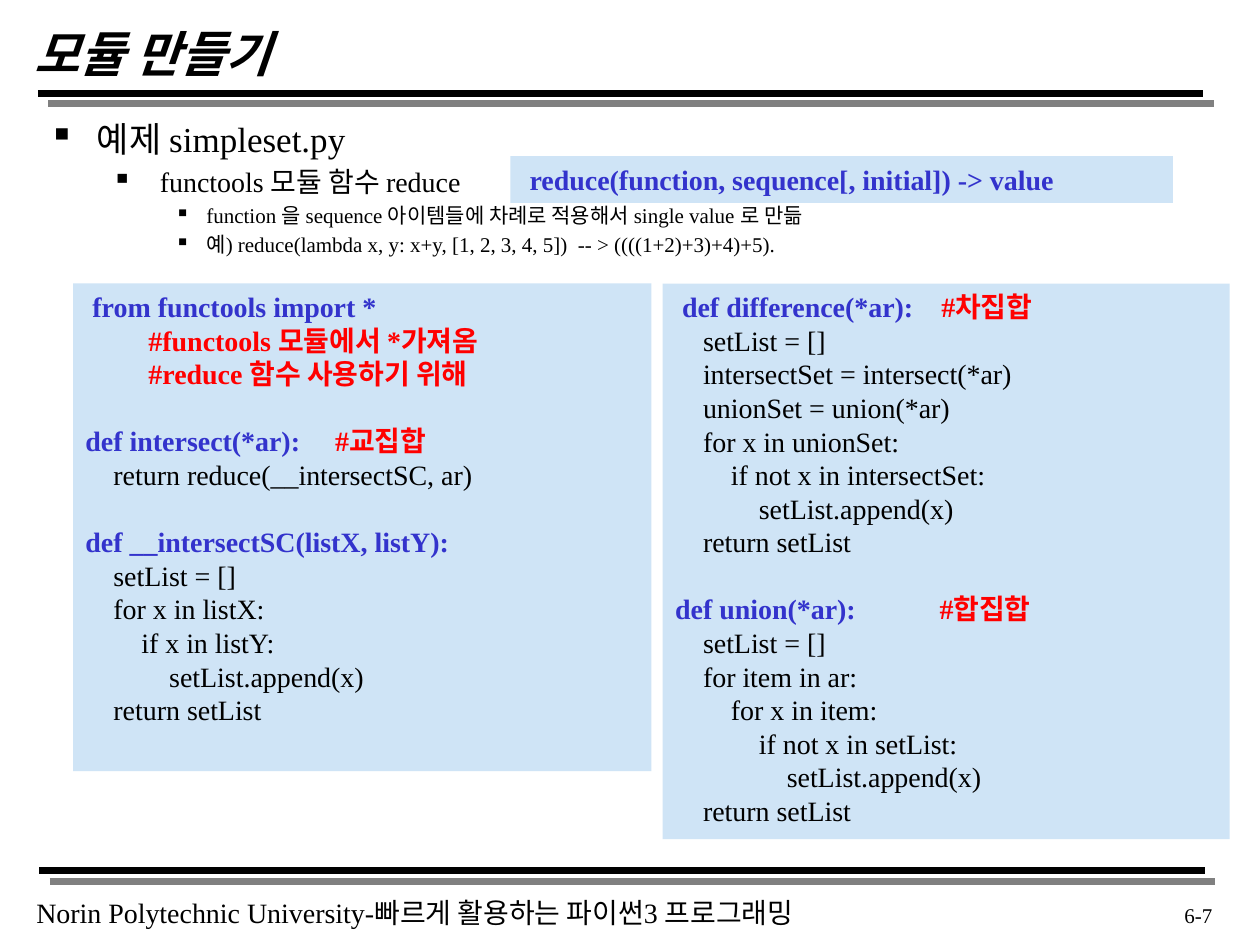
from typing import NamedTuple

from lxml import etree
from pptx import Presentation
from pptx.dml.color import RGBColor
from pptx.enum.shapes import MSO_CONNECTOR, MSO_SHAPE
from pptx.enum.text import MSO_ANCHOR, MSO_AUTO_SIZE, PP_ALIGN
from pptx.oxml.ns import qn
from pptx.util import Inches, Pt

STRAIGHT = MSO_CONNECTOR.STRAIGHT
RECTANGLE = MSO_SHAPE.RECTANGLE
TOP, MIDDLE = MSO_ANCHOR.TOP, MSO_ANCHOR.MIDDLE
LEFT, RIGHT = PP_ALIGN.LEFT, PP_ALIGN.RIGHT
NO_FIT = MSO_AUTO_SIZE.NONE
FONT = "Times New Roman"
BLACK, GRAY, BLUE, RED, PALE = "000000", "808080", "3333CC", "FF0000", "CFE4F6"
CODE_SIZE = 16
BLANK_LINE = 19.2


class Area(NamedTuple):
    left: float
    top: float
    width: float
    height: float


class Span(NamedTuple):
    text: str
    color: str = BLACK
    bold: bool = False


class Line(NamedTuple):
    spans: list[Span]
    space_before: float = 0


class Bullet(NamedTuple):
    text: str
    level: int
    size: int
    margin: float
    hanging: float


class CodePanel(NamedTuple):
    area: Area
    lines: list[Line]


def rgb(value: str) -> RGBColor:
    """Turn a hex string into a colour."""
    return RGBColor.from_string(value)


def heading(text: str, comment: str = "", space_before: float = 0) -> Line:
    """Make a bold code line with an optional red comment."""
    spans = [Span(text, BLUE, True)]
    if comment:
        spans.append(Span(comment, RED, True))
    return Line(spans, space_before)


def body(*texts: str) -> list[Line]:
    """Make plain code lines."""
    return [Line([Span(text)]) for text in texts]


def add_span(para, span: Span, size: float, italic: bool = False) -> None:
    """Add one formatted run to a paragraph."""
    run = para.add_run()
    run.text = span.text
    run.font.name = FONT
    run.font.size = Pt(size)
    run.font.bold = span.bold
    run.font.italic = italic
    run.font.color.rgb = rgb(span.color)


def add_box(page, area: Area, wrap: bool = True):
    """Add an empty text box and return its text frame."""
    frame = page.shapes.add_textbox(*map(Inches, area)).text_frame
    frame.word_wrap = wrap
    return frame


def add_rule(page, left: float, right: float, top: float) -> None:
    """Draw a thick black rule with a gray offset shadow."""
    rule = page.shapes.add_connector(
        STRAIGHT, Inches(left), Inches(top), Inches(right), Inches(top))
    rule.line.color.rgb = rgb(BLACK)
    rule.line.width = Pt(4)
    effects = etree.SubElement(rule._element.spPr, qn("a:effectLst"))
    shadow = etree.SubElement(
        effects, qn("a:outerShdw"), blurRad="0", dist=str(Pt(8.5)),
        dir="2700000", algn="ctr", rotWithShape="0")
    etree.SubElement(shadow, qn("a:srgbClr"), val=GRAY)


def add_title(page, text: str) -> None:
    """Place and format the title placeholder."""
    title = page.shapes.title
    title.left, title.top, title.width, title.height = map(
        Inches, Area(0.17, 0.17, 8.5, 0.5))
    frame = title.text_frame
    frame.auto_size = NO_FIT
    frame.vertical_anchor = MIDDLE
    para = frame.paragraphs[0]
    para.alignment = LEFT
    add_span(para, Span(text, bold=True), 28, italic=True)


def add_bullets(page, area: Area, bullets: list[Bullet]) -> None:
    """Draw a multi-level bullet list."""
    frame = add_box(page, area)
    for index, bullet in enumerate(bullets):
        para = frame.add_paragraph() if index else frame.paragraphs[0]
        para.level = bullet.level
        para.space_before = Pt(bullet.size * 0.2)
        properties = para._p.get_or_add_pPr()
        properties.set("marL", str(Inches(bullet.margin)))
        properties.set("indent", str(-Inches(bullet.hanging)))
        etree.SubElement(properties, qn("a:buChar"), char="▪")
        add_span(para, Span(bullet.text), bullet.size)


def add_code(page, panel: CodePanel) -> None:
    """Draw a pale panel holding lines of code."""
    box = page.shapes.add_shape(RECTANGLE, *map(Inches, panel.area))
    box.shadow.inherit = False
    box.fill.solid()
    box.fill.fore_color.rgb = rgb(PALE)
    box.line.fill.background()
    frame = box.text_frame
    frame.word_wrap = True
    frame.vertical_anchor = TOP
    for index, line in enumerate(panel.lines):
        para = frame.add_paragraph() if index else frame.paragraphs[0]
        para.alignment = LEFT
        para.space_before = Pt(line.space_before)
        for span in line.spans:
            add_span(para, span, CODE_SIZE)


BULLETS = [
    Bullet("예제 simpleset.py", 0, 20, 0.38, 0.38),
    Bullet("functools 모듈 함수 reduce", 1, 16, 0.88, 0.38),
    Bullet("function 을 sequence 아이템들에 차례로 적용해서 single value 로 만듦",
           2, 12, 1.25, 0.25),
    Bullet("예) reduce(lambda x, y: x+y, [1, 2, 3, 4, 5])  -- > ((((1+2)+3)+4)+5).",
           2, 12, 1.25, 0.25),
]

PANELS = [
    CodePanel(Area(4.05, 1.24, 5.26, 0.37), [
        heading(" reduce(function, sequence[, initial]) -> value"),
    ]),
    CodePanel(Area(0.58, 2.25, 4.59, 3.87), [
        heading(" from functools import *"),
        heading("\t", "#functools 모듈에서 *가져옴"),
        heading("\t", "#reduce 함수 사용하기 위해"),
        heading("def intersect(*ar):     ", "#교집합", BLANK_LINE),
        *body("    return reduce(__intersectSC, ar)"),
        heading("def __intersectSC(listX, listY):", space_before=BLANK_LINE),
        *body("    setList = []", "    for x in listX:", "        if x in listY:",
              "            setList.append(x)", "    return setList"),
    ]),
    CodePanel(Area(5.26, 2.25, 4.5, 4.41), [
        heading(" def difference(*ar):    ", "#차집합"),
        *body("    setList = []", "    intersectSet = intersect(*ar)",
              "    unionSet = union(*ar)", "    for x in unionSet:",
              "        if not x in intersectSet:",
              "            setList.append(x)", "    return setList"),
        heading("def union(*ar):            ", "#합집합", BLANK_LINE),
        *body("    setList = []", "    for item in ar:", "        for x in item:",
              "            if not x in setList:",
              "                setList.append(x)", "    return setList"),
    ]),
]


def main() -> None:
    """Build the slide and save the deck."""
    deck = Presentation()
    deck.slide_width, deck.slide_height = Inches(10), Inches(7.5)
    page = deck.slides.add_slide(deck.slide_layouts[5])
    add_rule(page, 0.3, 9.55, 0.74)
    add_rule(page, 0.31, 9.56, 6.91)
    footer = add_box(page, Area(0.19, 7.06, 6.6, 0.37), wrap=False)
    add_span(footer.paragraphs[0],
             Span("Norin Polytechnic University-빠르게 활용하는 파이썬3 프로그래밍"), 16)
    add_title(page, "모듈 만들기")
    add_bullets(page, Area(0.29, 0.88, 9.38, 5.63), BULLETS)
    number = add_box(page, Area(8.89, 7.11, 0.83, 0.32)).paragraphs[0]
    number.alignment = RIGHT
    add_span(number, Span("6-7"), 12)
    for panel in PANELS:
        add_code(page, panel)
    deck.save("out.pptx")


if __name__ == "__main__":
    main()
